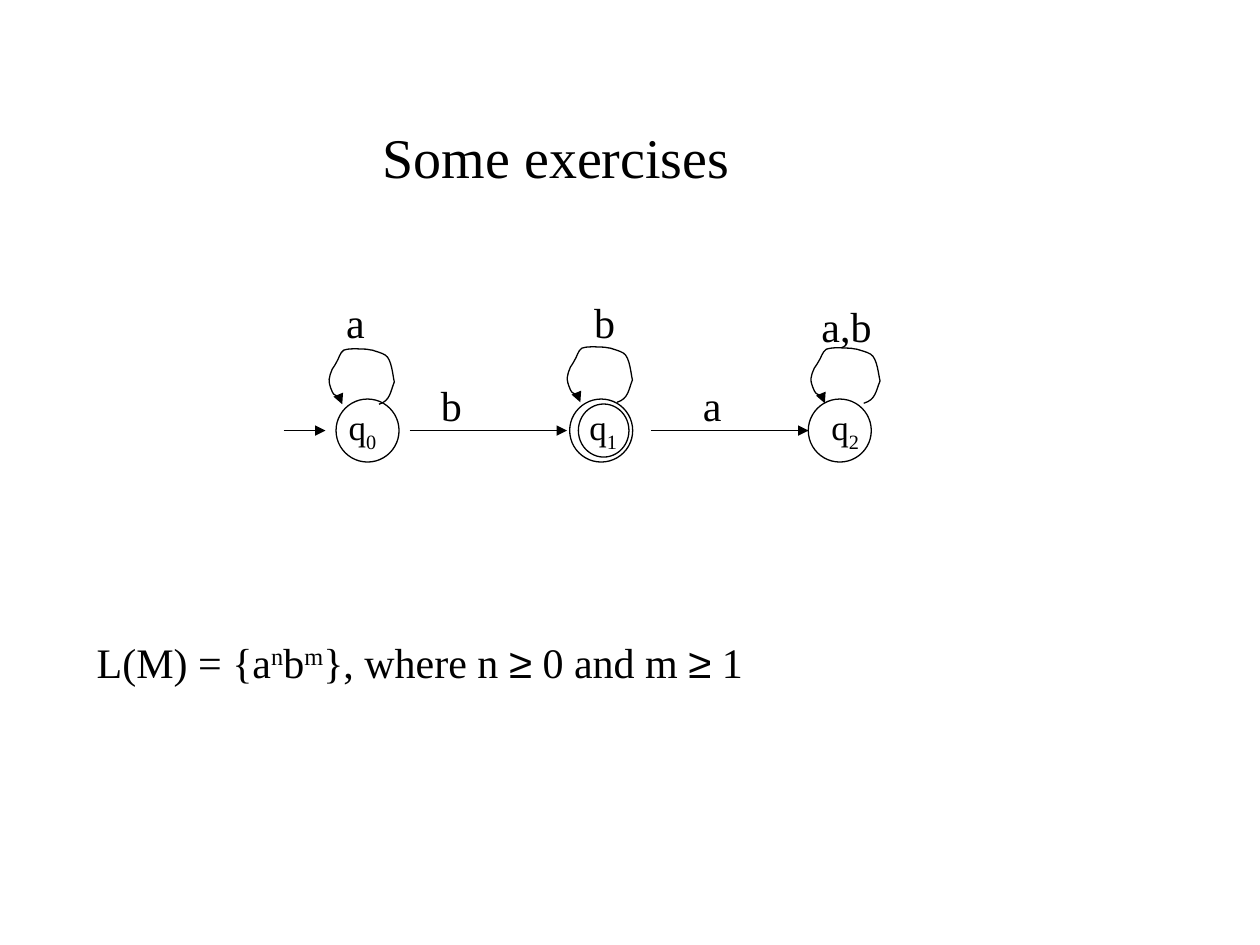
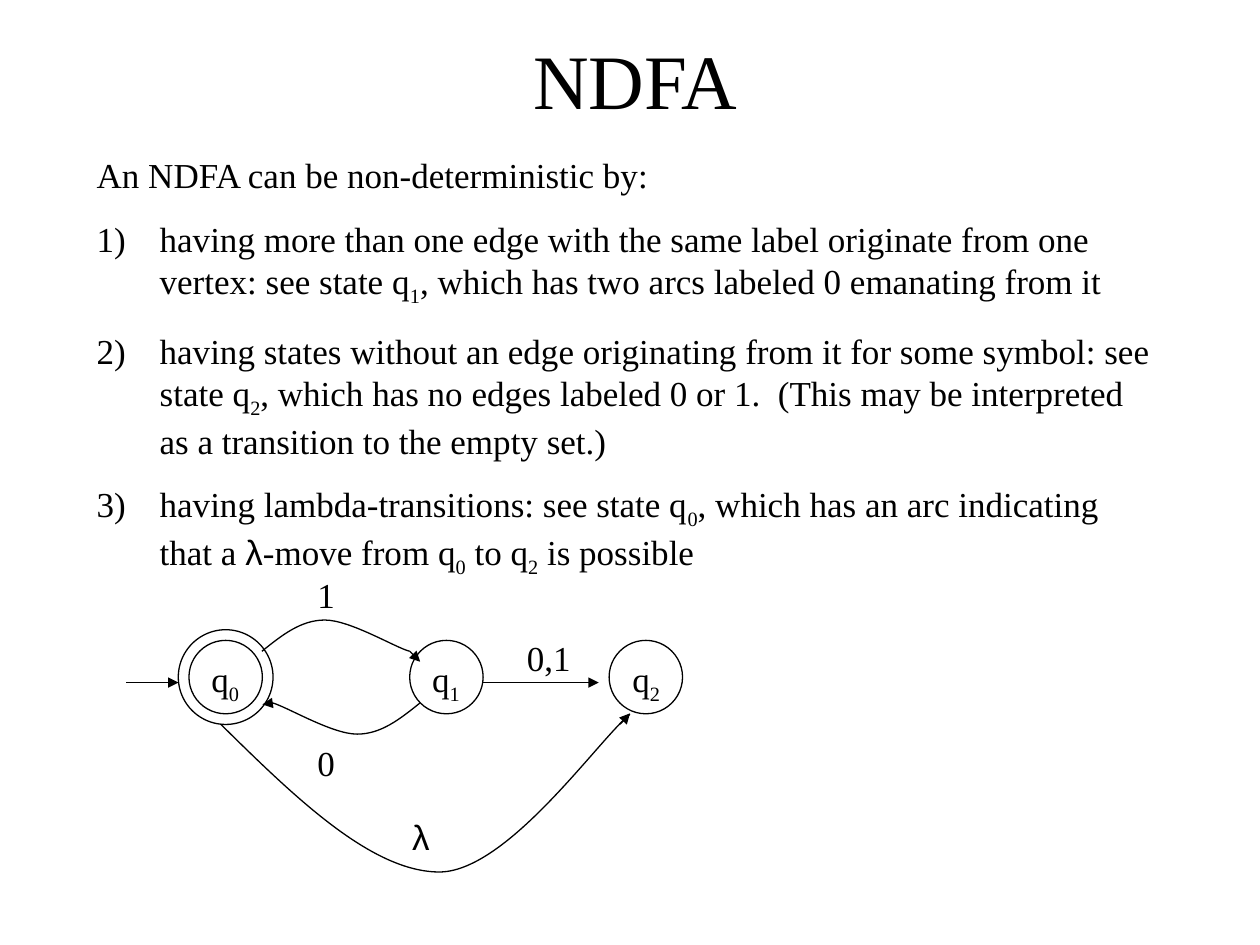
from pptx import Presentation
from pptx import util as u
from pptx.dml.color import RGBColor
from pptx.enum import shapes, text
from pptx.oxml import ns, xmlchemy

BLACK = "000000"
SERIF, SYMBOL = "Times New Roman", "Arial"
LINE_PT = 0.75
TITLE = {"align": text.PP_ALIGN.CENTER, "anchor": text.MSO_ANCHOR.MIDDLE}
LOOP = [(1.04, 1.14),
        (1.27, 1.07), (1.27, 0.89), (1.35, 0.69),
        (1.32, 0.58), (1.3, 0.23), (1.17, 0.15),
        (1.09, 0.1), (0.99, 0.08), (0.91, 0.05),
        (0.89, 0.05), (0.79, 0.03), (0.79, 0.03),
        (0.64, 0.03), (0.48, 0), (0.33, 0.05),
        (0.25, 0.1), (0.23, 0.23), (0.18, 0.3),
        (0.15, 0.36), (0.1, 0.43), (0.1, 0.43),
        (0.03, 0.61), (0, 0.66), (0.1, 0.89),
        (0.13, 0.97), (0.43, 1.02), (0.3, 1.14)]


def color(value):
    """Return the RGB colour of a hex string."""
    return RGBColor.from_string(value)


def add_element(parent, tag, **attrs):
    """Append a DrawingML element with the given attributes."""
    el = xmlchemy.OxmlElement(tag)
    for name, value in attrs.items():
        el.set(name, value)
    parent.append(el)
    return el


def sub(value):
    """Return a subscript run."""
    return value, "-25000"


def sup(value):
    """Return a superscript run."""
    return value, "30000"


def add_runs(p, runs, size):
    """Fill a paragraph with plain strings and (text, baseline) pairs."""
    for item in runs:
        value, baseline = (item, None) if isinstance(item, str) else item
        r = p.add_run()
        r.text = value
        font = {"name": SYMBOL if value in "≥λ" else SERIF, "size": u.Pt(size)}
        for name, setting in font.items():
            setattr(r.font, name, setting)
        r.font.color.rgb = color(BLACK)
        if baseline:
            r.font._element.set("baseline", baseline)


def add_text(s, box, runs, size, wrap=True, align=None, anchor=text.MSO_ANCHOR.TOP):
    """Add a text box with one paragraph and return its frame."""
    tf = s.shapes.add_textbox(*map(u.Cm, box)).text_frame
    frame = {"word_wrap": wrap, "vertical_anchor": anchor,
             "margin_left": u.Cm(0.25), "margin_right": u.Cm(0.25),
             "margin_top": u.Cm(0.13), "margin_bottom": u.Cm(0.13)}
    for name, value in frame.items():
        setattr(tf, name, value)
    p = tf.paragraphs[0]
    p.alignment = align
    add_runs(p, runs, size)
    return tf


def add_numbered(tf, items, size):
    """Add numbered paragraphs with a hanging indent."""
    for item in items:
        p = tf.add_paragraph()
        pPr = p._p.get_or_add_pPr()
        hang = u.Cm(1.27)
        pPr.set("marL", str(hang))
        pPr.set("indent", str(-hang))
        add_element(pPr, "a:buAutoNum", type="arabicParenR")
        p.space_before = u.Pt(12.5)
        add_runs(p, item, size)


def style_line(sp, arrow):
    """Give a shape its thin black line, with an arrowhead if asked."""
    sp.line.color.rgb = color(BLACK)
    sp.line.width = u.Pt(LINE_PT)
    if arrow:
        ln = sp._element.spPr.find(ns.qn("a:ln"))
        add_element(ln, "a:tailEnd", type="triangle")


def add_ring(s, cx, cy, w, h=None):
    """Add an unfilled ellipse around a centre."""
    h = h or w
    box = map(u.Cm, (cx - w / 2, cy - h / 2, w, h))
    sp = s.shapes.add_shape(shapes.MSO_SHAPE.OVAL, *box)
    sp.shadow.inherit = False
    sp.fill.background()
    style_line(sp, arrow=False)


def add_arrow(s, x1, y1, x2, y2):
    """Add a straight arrow."""
    sp = s.shapes.add_connector(shapes.MSO_CONNECTOR.STRAIGHT,
                                *map(u.Cm, (x1, y1, x2, y2)))
    style_line(sp, arrow=True)
    add_element(sp._element.spPr, "a:effectLst")


def add_curve(s, points, arrow=False):
    """Add an open Bezier curve: a start, then three points a segment."""
    start, *rest = [(u.Cm(x), u.Cm(y)) for x, y in points]
    builder = s.shapes.build_freeform(*start)
    builder.add_line_segments(rest, close=False)
    sp = builder.convert_to_shape()
    path = sp._element.find(".//" + ns.qn("a:path"))
    steps = path.findall(ns.qn("a:lnTo"))
    for i in range(0, len(steps), 3):
        bezier = add_element(path, "a:cubicBezTo")
        for step in steps[i:i + 3]:
            bezier.append(step[0])
            path.remove(step)
    sp.shadow.inherit = False
    sp.fill.background()
    style_line(sp, arrow)


def add_loop(s, x, y, stretch=1):
    """Add the arrow from a state back to itself."""
    add_curve(s, [(x + stretch * dx, y + dy) for dx, dy in LOOP], arrow=True)


def add_state_names(s, lefts, top):
    """Label the states q0, q1, q2 from left to right."""
    for i, left in enumerate(lefts):
        add_text(s, (left, top, 1.5, 1.22), ["q", sub(str(i))], 20)


def build_exercises(s):
    """Draw the deterministic automaton and its language."""
    add_text(s, (2.54, 2.34, 17.35, 1.63), ["Some exercises"], 32, **TITLE)
    add_text(s, (1.7, 12.7, 21.39, 1.27),
             ["L(M) = {a", sup("n"), "b", sup("m"), "}, where n ", "≥",
              " 0 and m ", "≥", " 1"], 24)
    axis = 8.68
    for cx in (7.41, 12.12, 16.93):
        add_ring(s, cx, axis, 1.27)
    add_ring(s, 12.17, axis, 1.02, 1.07)
    add_state_names(s, (6.78, 11.63, 16.51), 8.05)
    for x1, x2 in ((5.72, 6.56), (8.26, 11.43), (13.12, 16.3)):
        add_arrow(s, x1, axis, x2, axis)
    for loop in ((6.6, 7.01), (11.4, 6.97), (16.31, 6.99, 1.06)):
        add_loop(s, *loop)
    for label, x, y, w in (("a", 6.73, 5.84, 0.89), ("b", 8.64, 7.52, 0.91),
                           ("b", 11.73, 5.84, 0.91), ("a", 13.92, 7.52, 0.89),
                           ("a,b", 16.31, 5.92, 1.52)):
        add_text(s, (x, y, w, 1.27), [label], 24, wrap=False)


def build_ndfa(s):
    """Explain non-determinism and draw an automaton that shows it."""
    add_text(s, (1.07, 0, 23.47, 3.18), ["NDFA"], 44, **TITLE)
    tf = add_text(s, (1.7, 2.97, 21.8, 8.81),
                  ["An NDFA can be non-deterministic by:"], 20)
    add_numbered(tf, [
        ["having more than one edge with the same label originate from one "
         "vertex: see state q", sub("1"),
         ", which has two arcs labeled 0 emanating from it"],
        ["having states without an edge originating from it for some symbol: "
         "see state q", sub("2"),
         ", which has no edges labeled 0 or 1.  (This may be interpreted as a "
         "transition to the empty set.)"],
        ["having lambda-transitions: see state q", sub("0"),
         ", which has an arc indicating that a ", "λ", "-move from q",
         sub("0"), " to q", sub("2"), " is possible"]], 20)

    axis = 13.65
    for cx in (4.55, 9, 13.02):
        add_ring(s, cx, axis, 1.48)
    add_ring(s, 4.55, axis, 1.91)
    add_state_names(s, (4.01, 8.46, 12.5), 13.13)

    upper = [(5.28, 13.13), (5.69, 12.8), (6.07, 12.5), (6.55, 12.5),
             (7.06, 12.5), (7.98, 13.06), (8.26, 13.13)]
    lower = [(13.75 - x, 27.3 - y) for x, y in upper]
    under = [(4.45, 14.6), (5.97, 16.1), (7.52, 17.6), (8.89, 17.58),
             (10.26, 17.53), (12.07, 14.91), (12.7, 14.4)]
    for points in (upper, lower, under):
        add_curve(s, points)
    for ends in ((2.54, 13.76, 3.6, 13.76), (9.74, 13.76, 12.07, 13.76),
                 (8.26, 13.13, 8.47, 13.34), (5.5, 14.17, 5.29, 14.2),
                 (12.5, 14.6, 12.7, 14.38)):
        add_arrow(s, *ends)
    for label, x, y, w in (("1", 6.15, 11.43, 0.95), ("0,1", 10.37, 12.7, 1.9),
                           ("0", 6.15, 14.81, 1.07), ("λ", 8.06, 16.31, 1.48)):
        add_text(s, (x, y, w, 1.12), [label], 20)


def main():
    """Build and save the two slides."""
    prs = Presentation()
    prs.slide_width, prs.slide_height = u.Cm(25.4), u.Cm(19.05)
    for build in (build_exercises, build_ndfa):
        build(prs.slides.add_slide(prs.slide_layouts[6]))
    prs.save("out.pptx")


if __name__ == "__main__":
    main()
